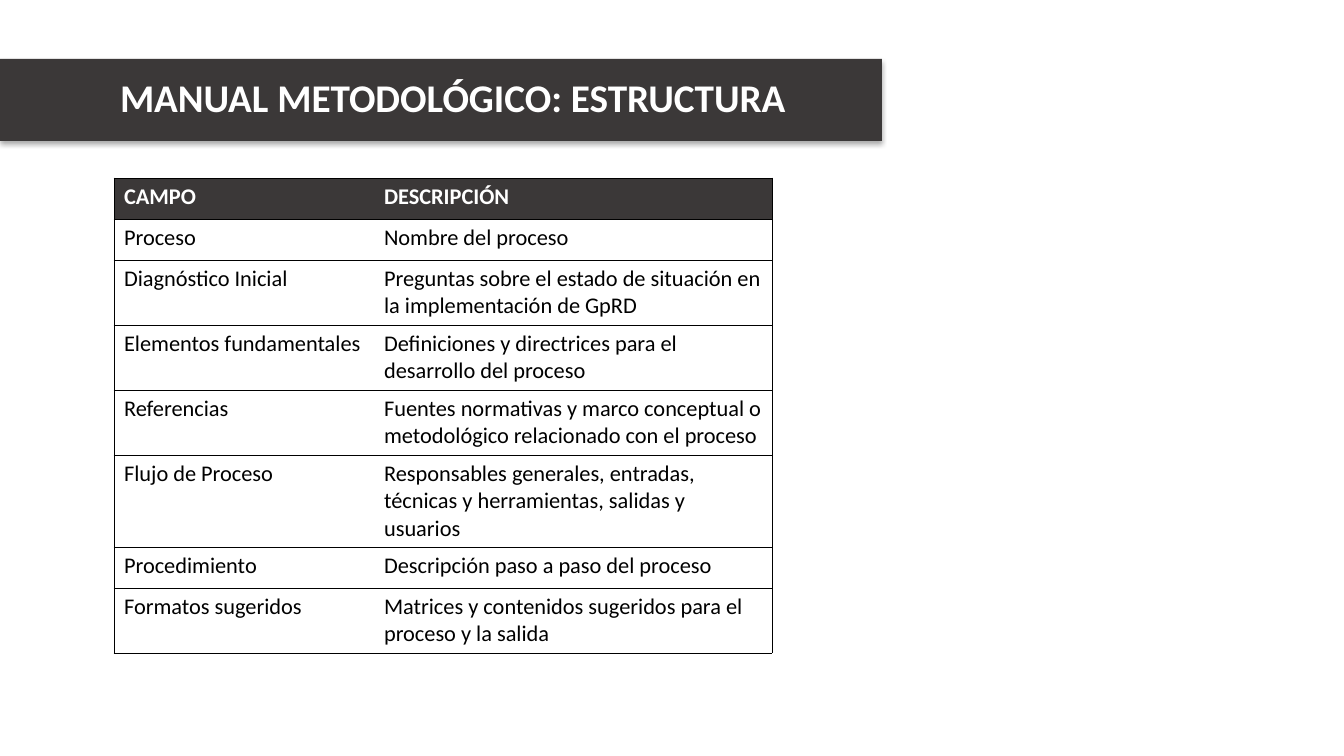
"""Build the slide that describes the structure of the methodological manual."""
from dataclasses import dataclass

from lxml.etree import SubElement
from pptx import Presentation
from pptx.dml.color import RGBColor
from pptx.enum.shapes import MSO_SHAPE as Preset
from pptx.enum.text import MSO_ANCHOR as Anchor, PP_ALIGN as Align
from pptx.oxml.ns import qn
from pptx.util import Emu, Pt

COLORS = {"dark": "3B3838", "white": "FFFFFF", "black": "000000"}
FONT = "Calibri"
PX_PER_INCH = 100.8
NO_GRID_STYLE = "{2D5ABB26-0587-4C30-8999-92F81FD0307C}"
COLUMN_WIDTHS = (260, 398)
HEIGHT_BY_LINES = {1: 41, 2: 65, 3: 92}


@dataclass(frozen=True)
class Field:
    name: str
    description: str
    lines: int = 1


FIELDS = (
    Field("CAMPO", "DESCRIPCIÓN"),
    Field("Proceso", "Nombre del proceso"),
    Field("Diagnóstico Inicial",
          "Preguntas sobre el estado de situación en la implementación de GpRD", 2),
    Field("Elementos fundamentales",
          "Definiciones y directrices para el desarrollo del proceso", 2),
    Field("Referencias",
          "Fuentes normativas y marco conceptual o metodológico relacionado con el proceso", 2),
    Field("Flujo de Proceso",
          "Responsables generales, entradas, técnicas y herramientas, salidas y usuarios", 3),
    Field("Procedimiento", "Descripción paso a paso del proceso"),
    Field("Formatos sugeridos",
          "Matrices y contenidos sugeridos para el proceso y la salida", 2),
)


def px(length: int) -> Emu:
    return Emu(round(length * 914400 / PX_PER_INCH))


def rgb(color: str) -> RGBColor:
    return RGBColor.from_string(COLORS[color])


def add_run(paragraph, text: str, size: int, color: str, bold: bool) -> None:
    run = paragraph.add_run()
    run.text = text
    run.font.name = FONT
    run.font.size = Pt(size)
    run.font.bold = bold
    run.font.color.rgb = rgb(color)


def add_color(parent, color: str):
    return SubElement(parent, qn("a:srgbClr"), val=COLORS[color])


def add_drop_shadow(shape) -> None:
    shape.shadow.inherit = False
    effects = shape._element.spPr.find(qn("a:effectLst"))
    shadow = SubElement(effects, qn("a:outerShdw"), blurRad=str(Pt(3.5)),
                        dist=str(Pt(2.2)), dir="5400000", algn="t", rotWithShape="0")
    SubElement(add_color(shadow, "black"), qn("a:alpha"), val="32000")


def add_title(slide, text: str) -> None:
    bar = slide.shapes.add_shape(Preset.RECTANGLE, px(0), px(59), px(882), px(82))
    bar.fill.solid()
    bar.fill.fore_color.rgb = rgb("dark")
    bar.line.fill.background()
    add_drop_shadow(bar)
    frame = bar.text_frame
    frame.word_wrap = True
    frame.vertical_anchor = Anchor.MIDDLE
    frame.margin_left = px(120)
    paragraph = frame.paragraphs[0]
    paragraph.alignment = Align.LEFT
    paragraph.line_spacing = 0.9
    add_run(paragraph, text, 28, "white", True)


def set_borders(cell, drawn_sides: str) -> None:
    properties = cell._tc.get_or_add_tcPr()
    for side in "LRTB":
        line = SubElement(properties, qn(f"a:ln{side}"), w=str(Pt(0.5)))
        if side in drawn_sides:
            add_color(SubElement(line, qn("a:solidFill")), "black")
        else:
            SubElement(line, qn("a:noFill"))


def add_field_table(slide, fields: tuple[Field, ...]) -> None:
    heights = [HEIGHT_BY_LINES[field.lines] for field in fields]
    table = slide.shapes.add_table(len(fields), len(COLUMN_WIDTHS), px(114), px(178),
                                   px(sum(COLUMN_WIDTHS)), px(sum(heights))).table
    table._tbl.tblPr.find(qn("a:tableStyleId")).text = NO_GRID_STYLE
    table.horz_banding = False
    for column, width in zip(table.columns, COLUMN_WIDTHS):
        column.width = px(width)
    for index, (field, height) in enumerate(zip(fields, heights)):
        table.rows[index].height = px(height)
        is_header = index == 0
        texts = (field.name, field.description)
        for cell, text, side in zip(table.rows[index].cells, texts, "LR"):
            set_borders(cell, side + "TB")
            if is_header:
                cell.fill.solid()
                cell.fill.fore_color.rgb = rgb("dark")
            else:
                cell.fill.background()
            add_run(cell.text_frame.paragraphs[0], text, 16,
                    "white" if is_header else "black", is_header)


def main() -> None:
    presentation = Presentation()
    presentation.slide_width = px(1344)
    presentation.slide_height = px(756)
    slide = presentation.slides.add_slide(presentation.slide_layouts[6])
    add_title(slide, "MANUAL METODOLÓGICO: ESTRUCTURA")
    add_field_table(slide, FIELDS)
    presentation.save("out.pptx")


if __name__ == "__main__":
    main()
